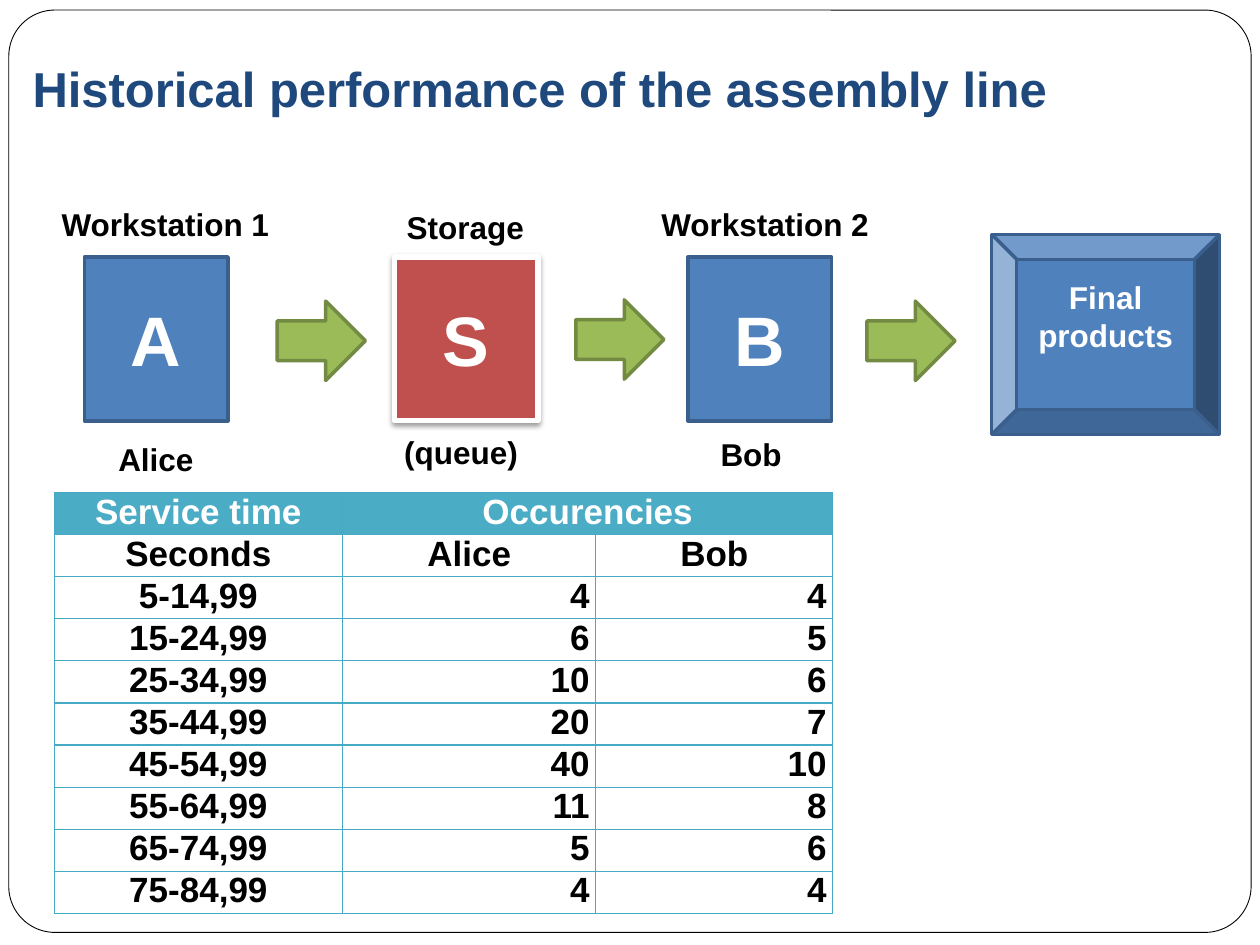
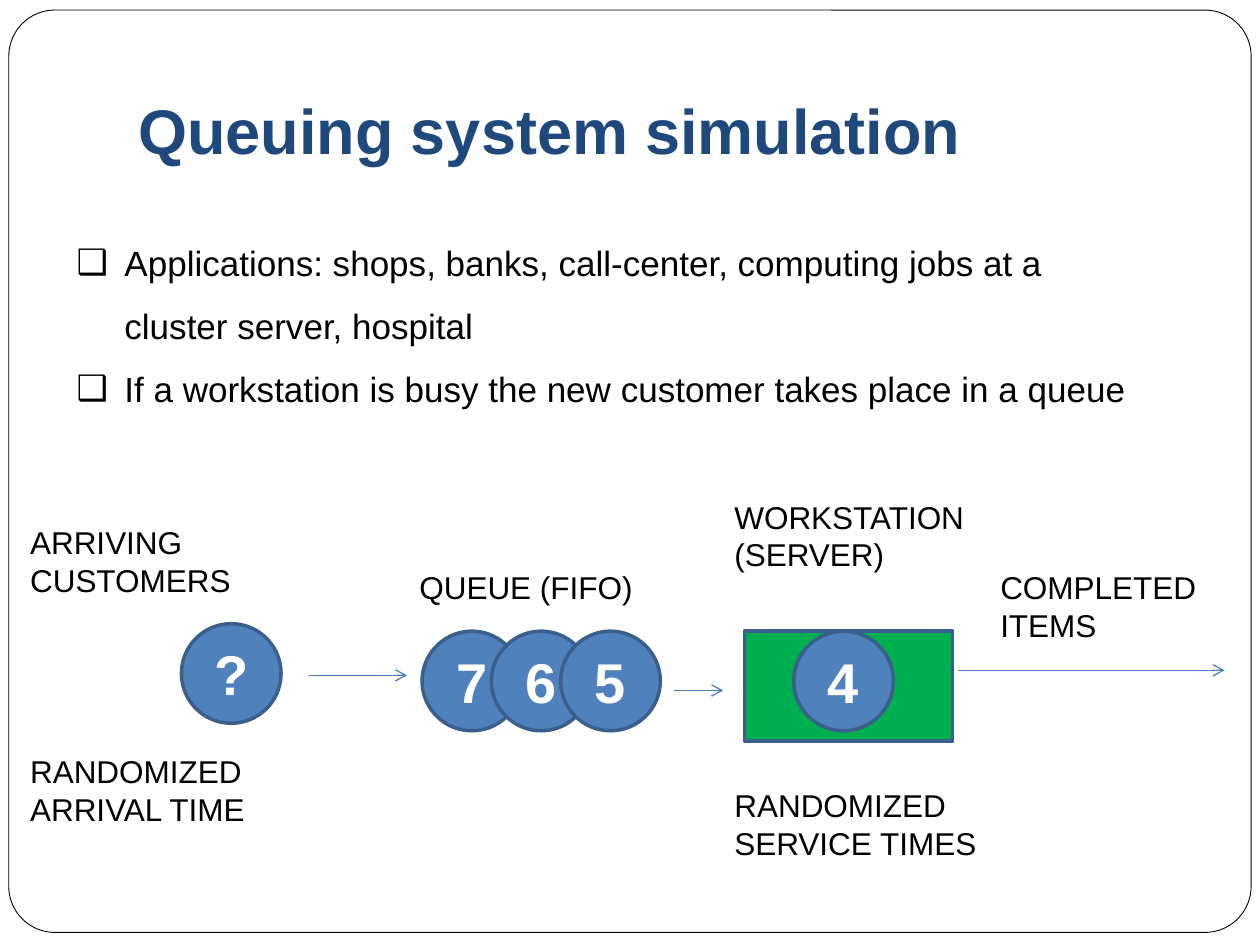
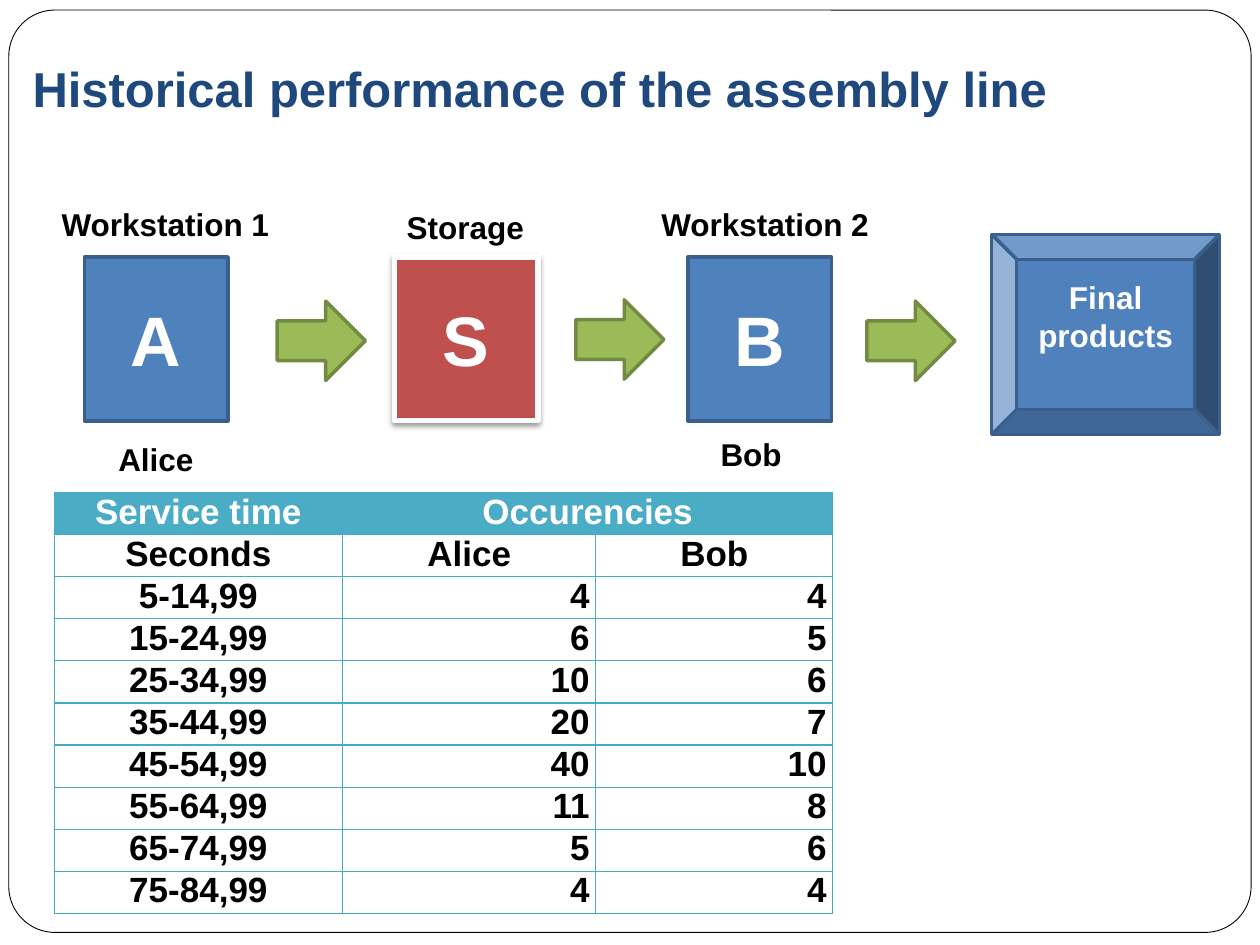
from dataclasses import dataclass

from lxml.etree import SubElement
from pptx import Presentation
from pptx.dml.color import RGBColor
from pptx.enum.shapes import MSO_CONNECTOR, MSO_SHAPE as Preset
from pptx.enum.text import MSO_ANCHOR as Anchor, PP_ALIGN as Align
from pptx.oxml.ns import qn
from pptx.util import Inches, Pt


@dataclass(frozen=True)
class Theme:
    font: str = "Arial"
    title: str = "1F497D"
    black: str = "000000"
    white: str = "FFFFFF"
    blue: str = "4F81BD"
    blue_edge: str = "3A5F8C"
    red: str = "C0504D"
    green: str = "9BBB59"
    green_edge: str = "738A42"
    server: str = "00B050"
    connector: str = "4B7EBC"
    table_head: str = "4BACC6"
    table_edge: str = "46AAC5"
    small: int = 18
    body: int = 20
    title_small: int = 28
    number: int = 32
    title_large: int = 36
    letter: int = 40


THEME = Theme()

# Assembly line: (text, left, top, width)
STATION_LABELS = [
    ("Workstation 1", 0.39, 1.58, 1.87),
    ("Workstation 2", 5.15, 1.58, 1.87),
    ("Alice", 0.84, 3.44, 0.81),
    ("Bob", 5.62, 3.4, 0.69),
    ("Storage", 3.13, 1.6, 1.14),
]
QUEUE_LABEL = ("(queue)", 3.11, 3.39, 1.11)
STATIONS = [("A", 0.67), ("B", 5.46)]
FLOW_ARROWS = [(2.2, 2.39), (4.57, 2.38), (6.88, 2.39)]
SERVICE_TIMES = [
    ("Service time", "Occurencies", ""),
    ("Seconds", "Alice", "Bob"),
    ("5-14,99", 4, 4),
    ("15-24,99", 6, 5),
    ("25-34,99", 10, 6),
    ("35-44,99", 20, 7),
    ("45-54,99", 40, 10),
    ("55-64,99", 11, 8),
    ("65-74,99", 5, 6),
    ("75-84,99", 4, 4),
]
COLUMN_WIDTHS = (2.29, 2.01, 1.88)
ROW_HEIGHT = 0.31
HEADING_ROWS = 2

# Queuing system
APPLICATIONS = [
    "Applications: shops, banks, call-center, computing jobs at a cluster server, hospital",
    "If a workstation is busy the new customer takes place in a queue",
]
QUEUE_CAPTIONS = [
    ("QUEUE (FIFO)", (3.11, 4.46, 2.36, 0.55)),
    ("WORKSTATION (SERVER)", (5.61, 3.9, 2.17, 1.02)),
    ("COMPLETED ITEMS", (7.72, 4.46, 1.89, 0.79)),
]
CUSTOMER_SIZE = 0.79
QUEUE_LEFT, QUEUE_STEP, QUEUE_TOP = 3.35, 0.55, 5.01
CUSTOMERS = [("?", 1.44, 4.95)]
CUSTOMERS += [(number, QUEUE_LEFT + place * QUEUE_STEP, QUEUE_TOP)
              for place, number in enumerate("765")]
CUSTOMERS += [("4", 6.3, QUEUE_TOP)]
MOVES = [(2.45, 3.23, 5.36), (5.35, 5.74, 5.48), (7.6, 9.72, 5.32)]


def color(code):
    return RGBColor.from_string(code)


def inches(lengths):
    return [Inches(length) for length in lengths]


def write(frame, text, *, size=THEME.small, ink=THEME.black, bold=False,
          align=Align.LEFT, anchor=Anchor.TOP, wrap=True,
          insets=(0.1, 0.05, 0.1, 0.05), indent=0, bullet=None,
          before=(0,), spacing=None):
    """Fill a frame with one paragraph per item of text; before cycles over them."""
    frame.word_wrap = wrap
    frame.vertical_anchor = anchor
    (frame.margin_left, frame.margin_top,
     frame.margin_right, frame.margin_bottom) = inches(insets)
    for index, line in enumerate([text] if isinstance(text, str) else text):
        para = frame.add_paragraph() if index else frame.paragraphs[0]
        para.alignment = align
        para.space_before = Pt(before[index % len(before)])
        if spacing:
            para.line_spacing = spacing
        properties = para._p.get_or_add_pPr()
        properties.set("marL", str(Inches(indent)))
        properties.set("indent", str(-Inches(indent) if bullet else 0))
        if bullet:
            SubElement(properties, qn("a:buFont")).set("typeface", THEME.font)
            SubElement(properties, qn("a:buChar")).set("char", bullet)
        span = para.add_run()
        span.text = line
        font = span.font
        font.name, font.size, font.bold = THEME.font, Pt(size), bold
        font.color.rgb = color(ink)


def add_text(page, text, place, **style):
    box = page.shapes.add_textbox(*inches(place))
    write(box.text_frame, text, **style)


def add_block(page, preset, place, *, fill=THEME.blue, edge=THEME.blue_edge,
              weight=2, text=None, **style):
    block = page.shapes.add_shape(preset, *inches(place))
    block.shadow.inherit = False
    block.fill.solid()
    block.fill.fore_color.rgb = color(fill)
    block.line.color.rgb = color(edge)
    block.line.width = Pt(weight)
    if text:
        write(block.text_frame, text, ink=THEME.white, bold=True,
              align=Align.CENTER, anchor=Anchor.MIDDLE, **style)
    return block


def add_drop_shadow(block):
    effects = block._element.spPr.find(qn("a:effectLst"))
    shadow = SubElement(effects, qn("a:outerShdw"), blurRad=str(Pt(3.1)),
                        dist=str(Pt(1.6)), dir="5400000", rotWithShape="0")
    tone = SubElement(shadow, qn("a:srgbClr"), val=THEME.black)
    SubElement(tone, qn("a:alpha"), val="38000")


def add_move(page, start, end, height):
    """Draw a thin horizontal arrow."""
    move = page.shapes.add_connector(
        MSO_CONNECTOR.STRAIGHT, *inches((start, height, end, height)))
    move.line.color.rgb = color(THEME.connector)
    move.line.width = Pt(0.75)
    SubElement(move.line._get_or_add_ln(), qn("a:tailEnd"), type="arrow")
    SubElement(move._element.spPr, qn("a:effectLst"))


def add_page(deck, title, place, size):
    """Add a blank page with the rounded frame and a title."""
    page = deck.slides.add_slide(deck.slide_layouts[6])
    frame = add_block(page, Preset.ROUNDED_RECTANGLE, (0.07, 0.08, 9.86, 7.32),
                      fill=THEME.white, edge=THEME.black, weight=0.5)
    frame.adjustments[0] = 0.05
    add_text(page, title, place, size=size, ink=THEME.title, bold=True,
             anchor=Anchor.BOTTOM, insets=(0.1, 0.05, 0.1, 0.1))
    return page


def add_cell_borders(cell):
    properties = cell._tc.get_or_add_tcPr()
    for side in ("lnL", "lnR", "lnT", "lnB"):
        line = SubElement(properties, qn(f"a:{side}"), w=str(Pt(0.75)))
        fill = SubElement(line, qn("a:solidFill"))
        SubElement(fill, qn("a:srgbClr"), val=THEME.table_edge)


def add_service_table(page):
    rows, columns = len(SERVICE_TIMES), len(COLUMN_WIDTHS)
    table = page.shapes.add_table(rows, columns, *inches(
        (0.43, 3.91, sum(COLUMN_WIDTHS), rows * ROW_HEIGHT))).table
    table.first_row = table.horz_banding = False
    for column, width in zip(table.columns, COLUMN_WIDTHS):
        column.width = Inches(width)
    table.cell(0, 1).merge(table.cell(0, 2))
    for row, values in enumerate(SERVICE_TIMES):
        table.rows[row].height = Inches(ROW_HEIGHT)
        for column, value in enumerate(values):
            cell = table.cell(row, column)
            add_cell_borders(cell)
            cell.fill.solid()
            cell.fill.fore_color.rgb = color(THEME.white if row else THEME.table_head)
            (cell.margin_left, cell.margin_top,
             cell.margin_right, cell.margin_bottom) = inches((0.05, 0, 0.05, 0))
            if cell.is_spanned:
                continue
            centred = row < HEADING_ROWS or column == 0
            write(cell.text_frame, str(value), size=THEME.body, bold=True,
                  ink=THEME.black if row else THEME.white,
                  align=Align.CENTER if centred else Align.RIGHT,
                  wrap=None, insets=(0.05, 0, 0.05, 0))


def add_assembly_page(deck, labels):
    page = add_page(deck, "Historical performance of the assembly line",
                    (0.16, 0.3, 9.72, 0.73), THEME.title_small)
    add_service_table(page)
    for letter, left in STATIONS:
        add_block(page, Preset.RECTANGLE, (left, 2.04, 1.14, 1.3),
                  text=letter, size=THEME.letter)
    storage = add_block(page, Preset.RECTANGLE, (3.13, 2.04, 1.14, 1.3),
                        fill=THEME.red, edge=THEME.white, weight=3,
                        text="S", size=THEME.letter)
    add_drop_shadow(storage)
    add_block(page, Preset.BEVEL, (7.87, 1.86, 1.81, 1.59),
              text="Final products", insets=(0.1, 0.05, 0.1, 0.34))
    for left, top in FLOW_ARROWS:
        add_block(page, Preset.RIGHT_ARROW, (left, top, 0.7, 0.63),
                  fill=THEME.green, edge=THEME.green_edge)
    for text, left, top, width in labels:
        add_text(page, text, (left, top, width, 0.4), bold=True, wrap=False)


def add_queue_page(deck):
    page = add_page(deck, "Queuing system simulation",
                    (1, 0.3, 8.5, 1.13), THEME.title_large)
    add_text(page, APPLICATIONS, (0.51, 1.7, 8.66, 1.55), size=THEME.body,
             indent=0.38, bullet="❑", spacing=1.5)
    add_text(page, ["ARRIVING CUSTOMERS", "RANDOMIZED ARRIVAL TIME"],
             (0.02, 4.1, 2.69, 2.68), indent=0.12, before=(5.8, 88))
    for text, place in QUEUE_CAPTIONS:
        add_text(page, text, place, indent=0.12, before=(4,))
    add_text(page, ["RANDOMIZED", "SERVICE TIMES"], (5.61, 6.19, 2.26, 0.71),
             indent=0.12, wrap=False)
    add_block(page, Preset.RECTANGLE, (5.91, 5.01, 1.65, 0.87), fill=THEME.server)
    for number, left, top in CUSTOMERS:
        add_block(page, Preset.OVAL, (left, top, CUSTOMER_SIZE, CUSTOMER_SIZE),
                  text=number, size=THEME.number)
    for start, end, height in MOVES:
        add_move(page, start, end, height)


def main():
    deck = Presentation()
    deck.slide_width, deck.slide_height = inches((10, 7.5))
    add_assembly_page(deck, STATION_LABELS + [QUEUE_LABEL])
    add_queue_page(deck)
    add_assembly_page(deck, STATION_LABELS)
    deck.save("out.pptx")


if __name__ == "__main__":
    main()
